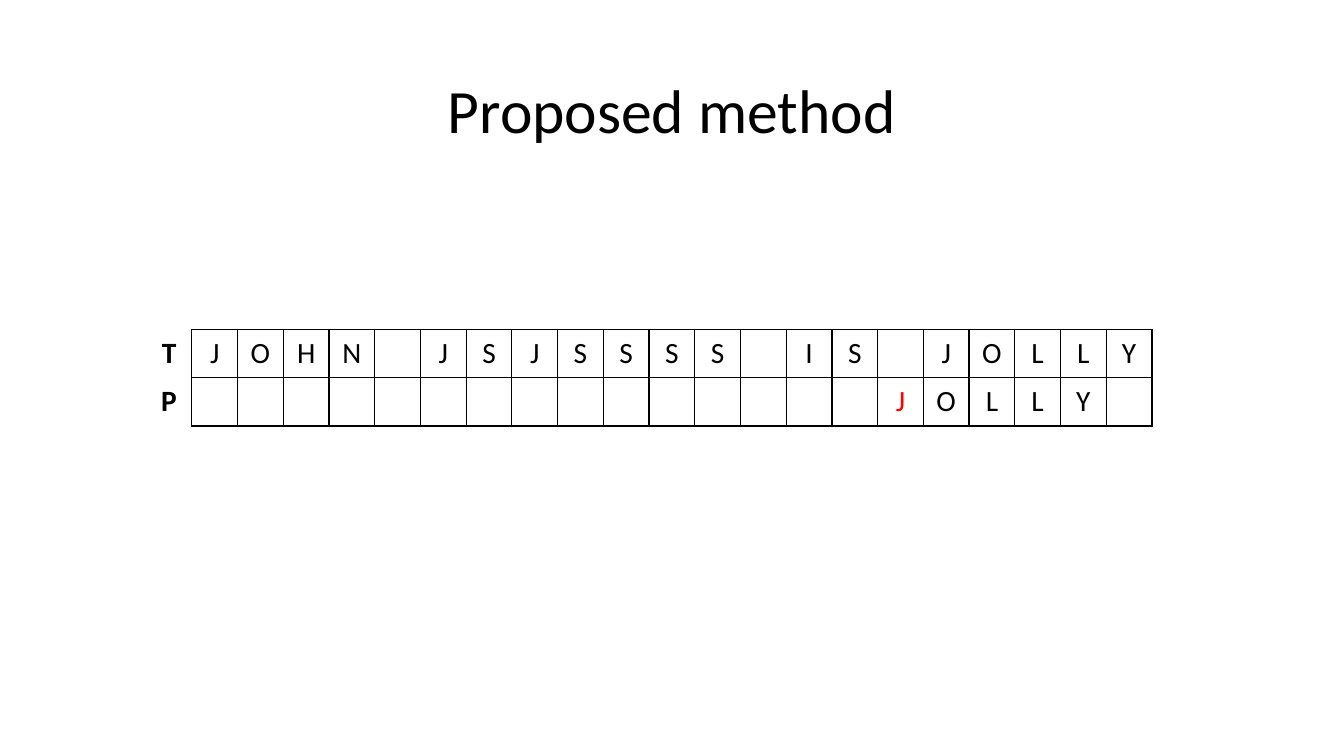
from dataclasses import dataclass

from lxml.etree import SubElement
from pptx import Presentation
from pptx.dml.color import RGBColor
from pptx.enum.text import MSO_ANCHOR, PP_ALIGN
from pptx.oxml.ns import qn
from pptx.slide import Slide
from pptx.table import _Cell
from pptx.text.text import _Paragraph
from pptx.util import Pt

COLORS = {"ink": "000000", "mismatch": "FF0000"}
FONT = "Calibri"
TABLE_LEFT, TABLE_TOP = 104.4, 235.6
COL_WIDTH, ROW_HEIGHT = 32.66, 34.3
LETTER_COUNT = 21


@dataclass
class LetterRow:
    label: str
    letters: str
    offset: int = 0
    mismatch_col: int = -1


ROWS = [
    LetterRow("T", "JOHN JSJSSSS IS JOLLY"),
    LetterRow("P", "JOLLY", offset=15, mismatch_col=16),
]


def style_paragraph(p: _Paragraph, size: float, color: str = "ink", bold: bool = False) -> None:
    p.alignment = PP_ALIGN.CENTER
    p.font.name = FONT
    p.font.size = Pt(size)
    p.font.bold = bold
    p.font.color.rgb = RGBColor.from_string(COLORS[color])


def set_borders(cell: _Cell, visible: str) -> None:
    """Rule the sides named in visible (L, R, T, B) and clear the others."""
    tc_pr = cell._tc.get_or_add_tcPr()
    for side in "LRTB":
        ln = SubElement(tc_pr, qn(f"a:ln{side}"), w=str(Pt(1)))
        if side in visible:
            fill = SubElement(ln, qn("a:solidFill"))
            SubElement(fill, qn("a:srgbClr"), val=COLORS["ink"])
        else:
            SubElement(ln, qn("a:noFill"))


def fill_cell(cell: _Cell, text: str, color: str, is_label: bool) -> None:
    cell.margin_left = cell.margin_right = Pt(8.64)
    cell.margin_top = cell.margin_bottom = Pt(4.32)
    set_borders(cell, "R" if is_label else "LRTB")
    cell.fill.background()
    p = cell.text_frame.paragraphs[0]
    p.text = text
    style_paragraph(p, 21, color, bold=is_label)


def add_title(slide: Slide, text: str) -> None:
    title = slide.shapes.title
    title.left, title.top, title.width, title.height = Pt(66), Pt(28.75), Pt(828), Pt(104.4)
    tf = title.text_frame
    tf.text = text
    tf.vertical_anchor = MSO_ANCHOR.MIDDLE
    p = tf.paragraphs[0]
    p.line_spacing = 0.9
    style_paragraph(p, 44)


def add_letter_table(slide: Slide, rows: list[LetterRow]) -> None:
    col_count = LETTER_COUNT + 1
    table = slide.shapes.add_table(
        len(rows), col_count, Pt(TABLE_LEFT), Pt(TABLE_TOP),
        Pt(COL_WIDTH * col_count), Pt(ROW_HEIGHT * len(rows)),
    ).table
    table.first_row = table.horz_banding = False
    for column in table.columns:
        column.width = Pt(COL_WIDTH)
    for r, row in enumerate(rows):
        table.rows[r].height = Pt(ROW_HEIGHT)
        letters = row.letters.rjust(row.offset + len(row.letters)).ljust(LETTER_COUNT)
        for c, letter in enumerate(row.label + letters):
            color = "mismatch" if c == row.mismatch_col else "ink"
            fill_cell(table.cell(r, c), letter.strip(), color, is_label=c == 0)


def main() -> None:
    prs = Presentation()
    prs.slide_width, prs.slide_height = Pt(960), Pt(540)
    slide = prs.slides.add_slide(prs.slide_layouts[5])
    add_title(slide, "Proposed method")
    add_letter_table(slide, ROWS)
    prs.save("out.pptx")


if __name__ == "__main__":
    main()
